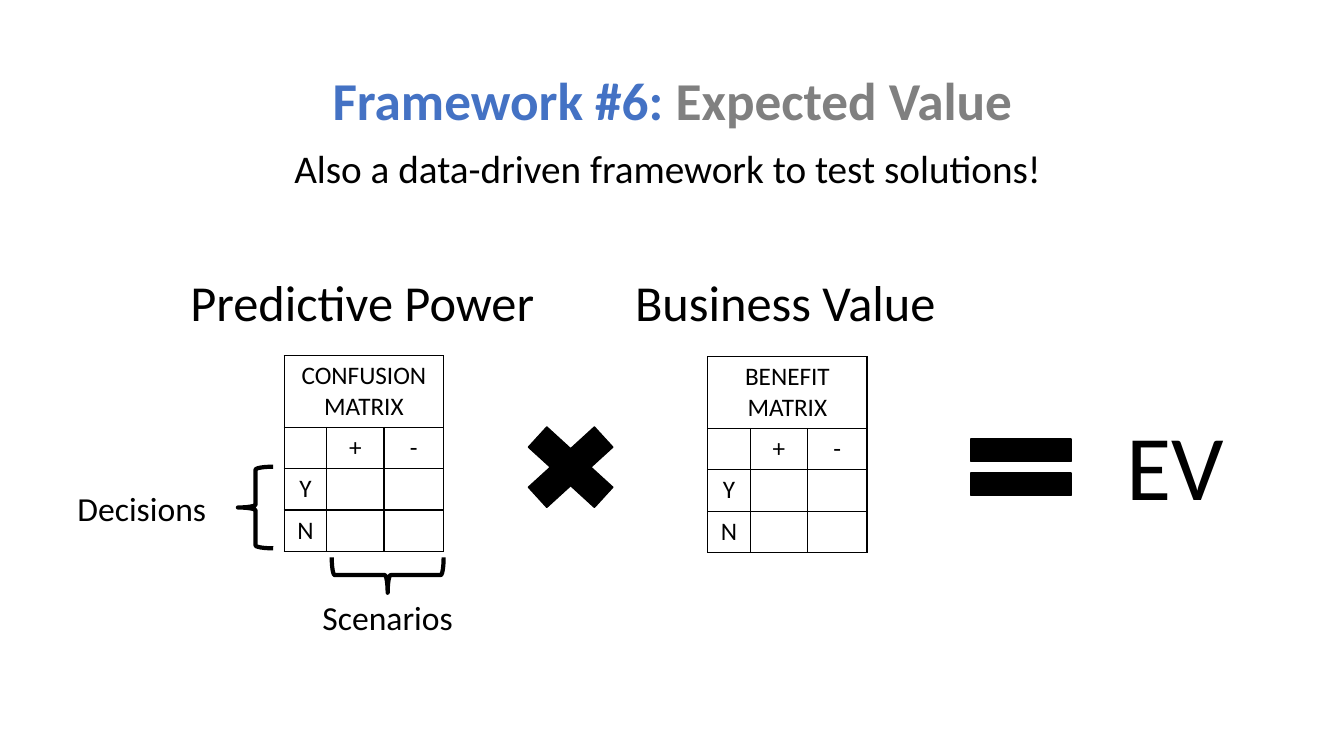
from dataclasses import dataclass

from lxml.etree import SubElement
from pptx import Presentation
from pptx.dml.color import RGBColor
from pptx.enum.shapes import MSO_SHAPE as Preset
from pptx.enum.text import MSO_AUTO_SIZE as AutoSize, PP_ALIGN as Align
from pptx.oxml.ns import qn
from pptx.util import Pt

PX = 9144  # 100 px to the inch


@dataclass(frozen=True)
class Theme:
    font: str = "Calibri"
    ink: str = "000000"
    accent: str = "4472C4"
    muted: str = "808080"
    title: int = 38
    subtitle: int = 28
    heading: int = 36
    result: int = 66
    label: int = 24
    cell: int = 18
    brace_line: int = 3
    thin_line: int = 1


THEME = Theme()

# Content: boxes are left, top, width, height in px
TITLE = [("Framework #6: ", THEME.accent), ("Expected Value", THEME.muted)]
TITLE_BOX = (160, 69, 1014, 87)
LABELS = [
    ("Also a data-driven framework to test solutions!", (282, 138, 769, 57), THEME.subtitle),
    ("Predictive Power", (179, 264, 365, 71), THEME.heading),
    ("Business Value", (620, 264, 321, 71), THEME.heading),
    ("Decisions", (67, 479, 149, 50), THEME.label),
    ("Scenarios", (310, 587, 151, 50), THEME.label),
    ("EV", (1107, 400, 118, 121), THEME.result),
]
MATRICES = [("CONFUSION MATRIX", 282, 353), ("BENEFIT MATRIX", 702, 354)]
MATRIX_BODY = [("", "+", "-"), ("Y", "", ""), ("N", "", "")]
COLUMN_WIDTHS = [42, 57, 59]
ROW_HEIGHTS = [71, 41, 41, 41]
BRACES = [((236, 463, 35, 81), 0), ((367, 515, 35, 111), 270)]
OPERATORS = [
    (Preset.MATH_MULTIPLY, (503, 406, 126, 115)),
    (Preset.MATH_EQUAL, (945, 416, 135, 95)),
]

deck = Presentation()
deck.slide_width, deck.slide_height = 1333 * PX, 750 * PX
slide = deck.slides.add_slide(deck.slide_layouts[6])


def emu(box):
    return [length * PX for length in box]


def style(run, size, color=THEME.ink, bold=False):
    run.font.name, run.font.size, run.font.bold = THEME.font, Pt(size), bold
    run.font.color.rgb = RGBColor.from_string(color)


def add_label(text, box, size):
    frame = slide.shapes.add_textbox(*emu(box)).text_frame
    frame.word_wrap = False
    frame.auto_size = AutoSize.SHAPE_TO_FIT_TEXT
    frame.text = text
    style(frame.paragraphs[0].runs[0], size)


def add_borders(cell):
    properties = cell._tc.get_or_add_tcPr()
    for side in ("a:lnL", "a:lnR", "a:lnT", "a:lnB"):
        border = SubElement(properties, qn(side), w=str(Pt(THEME.thin_line)))
        fill = SubElement(border, qn("a:solidFill"))
        SubElement(fill, qn("a:srgbClr"), val=THEME.ink)


def add_matrix(name, left, top):
    box = (left, top, sum(COLUMN_WIDTHS), sum(ROW_HEIGHTS))
    matrix = slide.shapes.add_table(len(ROW_HEIGHTS), len(COLUMN_WIDTHS), *emu(box)).table
    matrix.first_row = matrix.horz_banding = False
    for column, width in zip(matrix.columns, COLUMN_WIDTHS):
        column.width = width * PX
    for row, height in zip(matrix.rows, ROW_HEIGHTS):
        row.height = height * PX
    for r, texts in enumerate([(name, "", ""), *MATRIX_BODY]):
        for c, text in enumerate(texts):
            cell = matrix.cell(r, c)
            add_borders(cell)
            cell.fill.background()
            paragraph = cell.text_frame.paragraphs[0]
            paragraph.alignment = Align.CENTER
            if text:
                paragraph.text = text
                style(paragraph.runs[0], THEME.cell)
    matrix.cell(0, 0).merge(matrix.cell(0, len(COLUMN_WIDTHS) - 1))


def add_symbol(preset, box, weight):
    symbol = slide.shapes.add_shape(preset, *emu(box))
    symbol.shadow.inherit = False
    symbol.line.color.rgb = RGBColor.from_string(THEME.ink)
    symbol.line.width = Pt(weight)
    return symbol


# Matrices
for matrix_entry in MATRICES:
    add_matrix(*matrix_entry)

# Braces around the decisions and scenarios
for box, rotation in BRACES:
    brace = add_symbol(Preset.LEFT_BRACE, box, THEME.brace_line)
    brace.fill.background()
    brace.rotation = rotation

# Multiply and equals signs
for preset, box in OPERATORS:
    operator = add_symbol(preset, box, THEME.thin_line)
    operator.fill.solid()
    operator.fill.fore_color.rgb = RGBColor.from_string(THEME.ink)

# Title
title_frame = slide.shapes.add_textbox(*emu(TITLE_BOX)).text_frame
title_frame.word_wrap = True
title_line = title_frame.paragraphs[0]
title_line.alignment, title_line.line_spacing = Align.CENTER, 0.9
for text, color in TITLE:
    title_part = title_line.add_run()
    title_part.text = text
    style(title_part, THEME.title, color, bold=True)

# Subtitle, headings and labels
for label in LABELS:
    add_label(*label)

deck.save("out.pptx")
